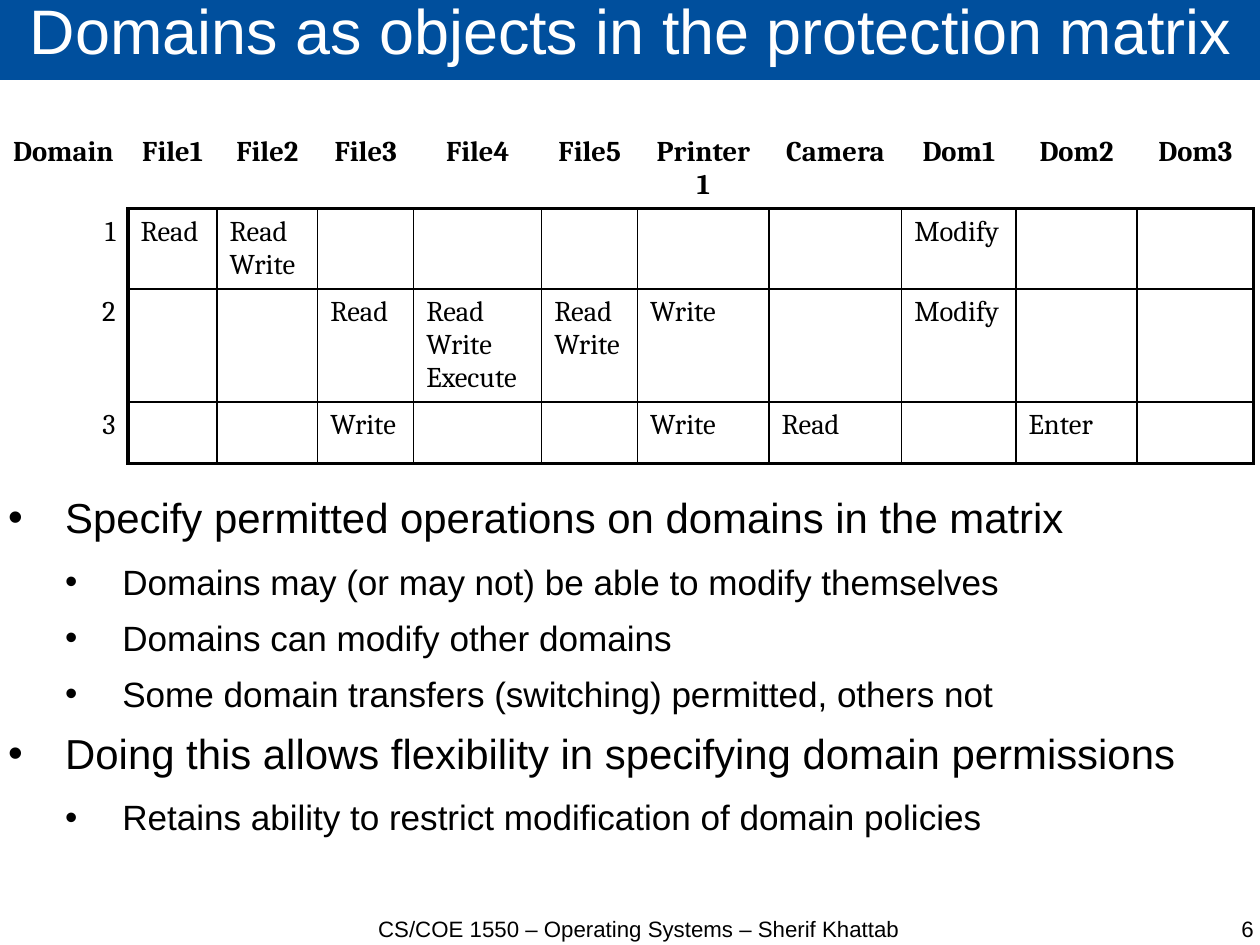
from lxml import etree
from pptx import Presentation
from pptx import util as u
from pptx.dml import color
from pptx.enum import text as t
from pptx.oxml import ns

COLORS = {"banner": "004F9D", "title": "FFFFFF", "ink": "000000"}
THICK, THIN = 2.25, 1

RESOURCES = ["Domain", "File1", "File2", "File3", "File4", "File5",
             "Printer1", "Camera", "Dom1", "Dom2", "Dom3"]
COLUMN_WIDTHS = [1.13, 0.78, 0.88, 0.84, 1.12, 0.84, 1.15, 1.16, 1, 1.06, 1.02]
ROW_HEIGHTS = [0.4, 0.7, 0.99, 0.54]
RIGHTS = {
    "1": {"File1": ["Read"], "File2": ["Read", "Write"], "Dom1": ["Modify"]},
    "2": {"File3": ["Read"], "File4": ["Read", "Write", "Execute"],
          "File5": ["Read", "Write"], "Printer1": ["Write"], "Dom1": ["Modify"]},
    "3": {"File3": ["Write"], "Printer1": ["Write"], "Camera": ["Read"],
          "Dom2": ["Enter"]},
}
POINTS = [
    (0, "Specify permitted operations on domains in the matrix"),
    (1, "Domains may (or may not) be able to modify themselves"),
    (1, "Domains can modify other domains"),
    (1, "Some domain transfers (switching) permitted, others not"),
    (0, "Doing this allows flexibility in specifying domain permissions"),
    (1, "Retains ability to restrict modification of domain policies"),
]


def rgb(name):
    """Return the named colour."""
    return color.RGBColor.from_string(COLORS[name])


def add_run(paragraph, words, size, font="Arial", ink="ink", bold=False):
    """Append one formatted run to a paragraph."""
    run = paragraph.add_run()
    run.text = words
    run.font.size = u.Pt(size)
    run.font.name = font
    run.font.bold = bold
    run.font.color.rgb = rgb(ink)


def prepare_frame(frame):
    """Make a text frame wrap without margins or autofit."""
    frame.word_wrap = True
    frame.auto_size = t.MSO_AUTO_SIZE.NONE
    frame.margin_left = frame.margin_right = 0
    frame.margin_top = frame.margin_bottom = 0


def add_frame(slide, box):
    """Add a text box and return its frame."""
    frame = slide.shapes.add_textbox(*map(u.Inches, box)).text_frame
    prepare_frame(frame)
    return frame


def add_banner(slide, box):
    """Place the title on its blue banner."""
    title = slide.shapes.title
    title.left, title.top, title.width, title.height = map(u.Inches, box)
    title.fill.solid()
    title.fill.fore_color.rgb = rgb("banner")
    prepare_frame(title.text_frame)
    title.text_frame.vertical_anchor = t.MSO_ANCHOR.MIDDLE
    heading = title.text_frame.paragraphs[0]
    heading.alignment = t.PP_ALIGN.CENTER
    heading.line_spacing = 0.69
    add_run(heading, "Domains as objects in the protection matrix", 39.6, ink="title")


def vertical_weight(row, edge):
    """Return the line width of a column edge beside a row."""
    if row == 0 or edge == 0:
        return 0
    return THICK if edge in (1, len(RESOURCES)) else THIN


def horizontal_weight(edge, column):
    """Return the line width of a row edge along a column."""
    if edge == 0 or column == 0:
        return 0
    return THICK if edge in (1, len(ROW_HEIGHTS)) else THIN


def set_borders(cell, row, column):
    """Draw the four borders of a matrix cell."""
    weights = {
        "a:lnL": vertical_weight(row, column),
        "a:lnR": vertical_weight(row, column + 1),
        "a:lnT": horizontal_weight(row, column),
        "a:lnB": horizontal_weight(row + 1, column),
    }
    properties = cell._tc.get_or_add_tcPr()
    for tag, weight in weights.items():
        line = etree.SubElement(properties, ns.qn(tag), w=str(u.Pt(weight)))
        if weight:
            fill = etree.SubElement(line, ns.qn("a:solidFill"))
            etree.SubElement(fill, ns.qn("a:srgbClr"), val=COLORS["ink"])
        else:
            etree.SubElement(line, ns.qn("a:noFill"))


def fill_cell(cell, lines, alignment, bold):
    """Write the lines of one matrix cell."""
    cell.margin_left = cell.margin_right = u.Inches(0.11)
    cell.margin_top = cell.margin_bottom = u.Inches(0.06)
    paragraph = cell.text_frame.paragraphs[0]
    paragraph.alignment = alignment
    paragraph.font.size = u.Pt(18)
    for index, words in enumerate(lines):
        if index:
            paragraph.add_line_break()
        add_run(paragraph, words, 18, "Cambria", bold=bold)


def add_matrix(slide, box):
    """Add the protection matrix."""
    matrix = slide.shapes.add_table(len(ROW_HEIGHTS), len(RESOURCES),
                                    *map(u.Inches, box)).table
    matrix.first_row = matrix.horz_banding = False
    for column, width in zip(matrix.columns, COLUMN_WIDTHS):
        column.width = u.Inches(width)
    for row, height in zip(matrix.rows, ROW_HEIGHTS):
        row.height = u.Inches(height)
    contents = [[[name] for name in RESOURCES]]
    for domain, rights in RIGHTS.items():
        contents.append([[domain]] + [rights.get(name, []) for name in RESOURCES[1:]])
    for r, row in enumerate(contents):
        for c, lines in enumerate(row):
            cell = matrix.cell(r, c)
            alignment = (t.PP_ALIGN.CENTER if r == 0 else
                         t.PP_ALIGN.RIGHT if c == 0 else t.PP_ALIGN.LEFT)
            fill_cell(cell, lines, alignment, r == 0)
            set_borders(cell, r, c)
            cell.fill.background()


def add_bullet(paragraph, level):
    """Give a paragraph its hanging bullet."""
    properties = paragraph._p.get_or_add_pPr()
    properties.set("marL", str(u.Inches(0.5 * (level + 1))))
    properties.set("indent", str(u.Inches(-0.5)))
    tint = etree.SubElement(properties, ns.qn("a:buClr"))
    etree.SubElement(tint, ns.qn("a:srgbClr"), val=COLORS["ink"])
    etree.SubElement(properties, ns.qn("a:buFont"), typeface="Arial")
    etree.SubElement(properties, ns.qn("a:buChar"), char="•")


def add_points(slide, box):
    """Add the two-level bullet list."""
    frame = add_frame(slide, box)
    for index, (level, words) in enumerate(POINTS):
        point = frame.add_paragraph() if index else frame.paragraphs[0]
        add_bullet(point, level)
        point.level = level
        point.line_spacing = 0.9
        point.space_after = u.Pt(11.4 if level else 14.2)
        add_run(point, words, 22.1 if level else 26.4)


def add_footer(slide, box, words, alignment):
    """Add one footer text."""
    footer = add_frame(slide, box).paragraphs[0]
    footer.alignment = alignment
    add_run(footer, words, 14)


def main():
    """Build the slide and save it."""
    deck = Presentation()
    deck.slide_width = u.Cm(28)
    deck.slide_height = u.Cm(21)
    slide = deck.slides.add_slide(deck.slide_layouts[5])
    add_banner(slide, (0, -0.02, 11.04, 0.72))
    add_points(slide, (0.07, 4.35, 10.95, 3.5))
    add_footer(slide, (3.07, 8.01, 5.04, 0.26),
               "CS/COE 1550 – Operating Systems – Sherif Khattab", t.PP_ALIGN.CENTER)
    add_footer(slide, (8.44, 8.01, 2.53, 0.26), "6", t.PP_ALIGN.RIGHT)
    add_matrix(slide, (-0.01, 1.13, sum(COLUMN_WIDTHS), sum(ROW_HEIGHTS)))
    deck.save("out.pptx")


if __name__ == "__main__":
    main()
